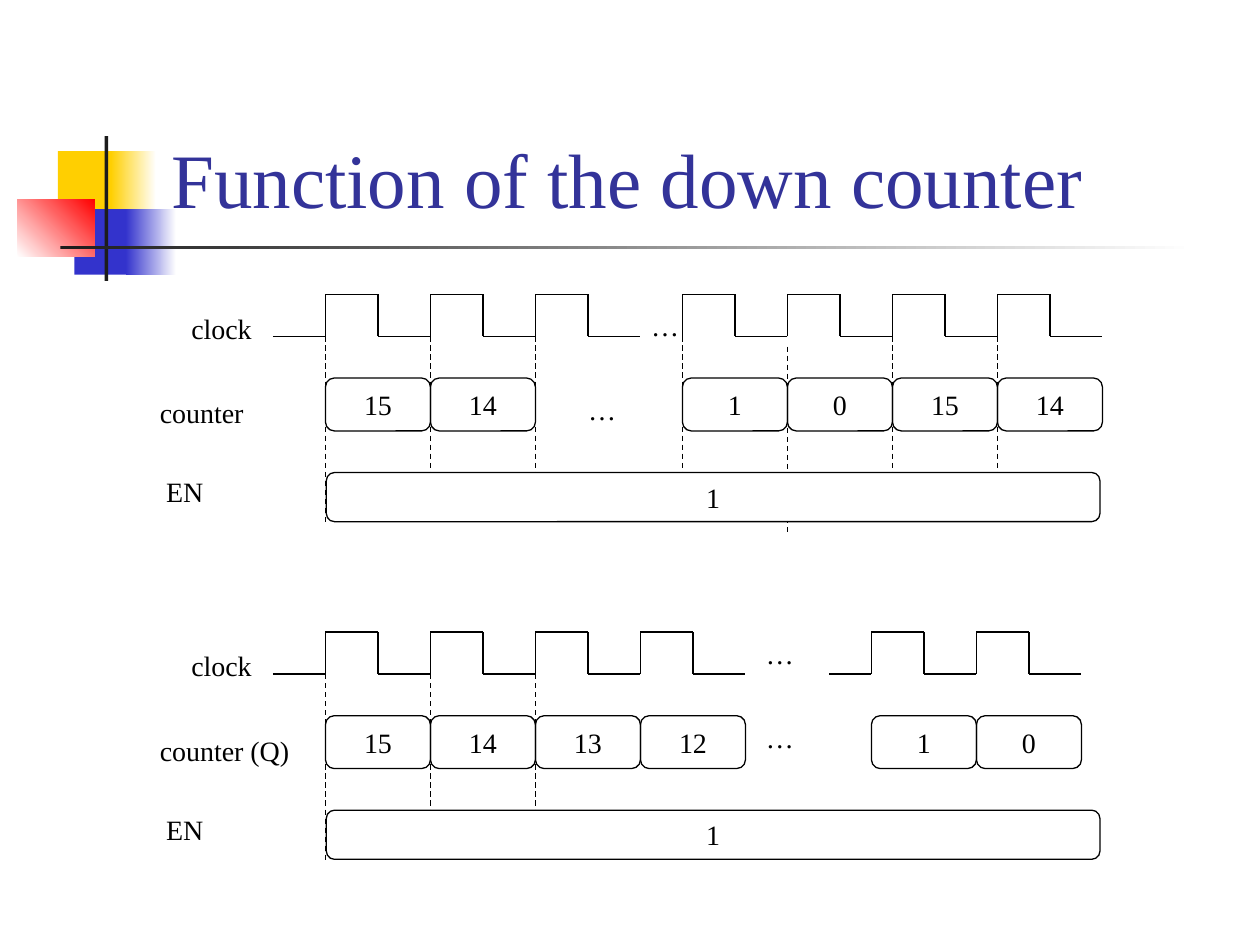
"""Builds a slide with two timing diagrams of a down counter."""
from dataclasses import dataclass

from lxml.etree import SubElement
from pptx import Presentation
from pptx.dml.color import RGBColor
from pptx.enum.dml import MSO_LINE
from pptx.enum.shapes import MSO_CONNECTOR, MSO_SHAPE
from pptx.enum.text import MSO_ANCHOR as ANCHOR, MSO_AUTO_SIZE as AUTO_SIZE, PP_ALIGN as ALIGN
from pptx.oxml.ns import qn
from pptx.util import Inches, Pt


@dataclass(frozen=True)
class Theme:
    font: str = "Times New Roman"
    title_size: int = 44
    body_size: int = 16
    line_width: float = 0.75
    title: str = "333399"
    ink: str = "000000"
    paper: str = "FFFFFF"
    yellow: str = "FFCF01"
    blue: str = "3333CC"
    red: str = "FF0000"
    bar: str = "1C1C1C"


@dataclass(frozen=True)
class Diagram:
    low: float
    counter_label: str
    cycles: dict
    guides: dict
    leads: list
    ellipses: list


THEME = Theme()
START = 2.583
PERIOD = 5 / 6
SWING = 1 / 3

DIAGRAMS = [
    Diagram(
        low=2.67,
        counter_label="counter",
        cycles={0: "15", 1: "14", 2: None, 3.4: "1", 4.4: "0", 5.4: "15", 6.4: "14"},
        guides={0: 0, 1: 0, 2: 0, 3.4: 0, 4.4: 0.08, 5.4: 0, 6.4: 0},
        leads=[(-0.5, 0)],
        ellipses=[(5.07, -0.27), (4.57, 0.4)],
    ),
    Diagram(
        low=5.35,
        counter_label="counter (Q)",
        cycles={0: "15", 1: "14", 2: "13", 3: "12", 5.2: "1", 6.2: "0"},
        guides={0: 0, 1: 0, 2: 0},
        leads=[(-0.5, 0), (4.8, 5.2)],
        ellipses=[(5.98, -0.35), (5.98, 0.32)],
    ),
]


def rgb(color):
    return RGBColor.from_string(color)


def at_cycle(cycle):
    return START + cycle * PERIOD


def write(frame, text, size=THEME.body_size, color=THEME.ink, align=ALIGN.LEFT,
          anchor=ANCHOR.TOP, wrap=False, fit=AUTO_SIZE.NONE):
    frame.word_wrap = wrap
    frame.auto_size = fit
    frame.vertical_anchor = anchor
    paragraph = frame.paragraphs[0]
    paragraph.alignment = align
    run = paragraph.add_run()
    run.text = text
    run.font.name = THEME.font
    run.font.size = Pt(size)
    run.font.color.rgb = rgb(color)


def add_label(shapes, text, left, top, width):
    box = shapes.add_textbox(Inches(left), Inches(top), Inches(width), Inches(0.37))
    write(box.text_frame, text, fit=AUTO_SIZE.SHAPE_TO_FIT_TEXT)


def add_line(shapes, start, end, dashed=False):
    ends = [Inches(value) for value in (*start, *end)]
    line = shapes.add_connector(MSO_CONNECTOR.STRAIGHT, *ends)
    line.line.color.rgb = rgb(THEME.ink)
    line.line.width = Pt(THEME.line_width)
    if dashed:
        line.line.dash_style = MSO_LINE.DASH
    SubElement(line._element.spPr, qn("a:effectLst"))


def add_value(shapes, text, left, top, width, height, fill=None):
    box = shapes.add_shape(MSO_SHAPE.ROUNDED_RECTANGLE, Inches(left), Inches(top),
                           Inches(width), Inches(height))
    box.adjustments[0] = 0.167
    box.shadow.inherit = False
    if fill:
        box.fill.solid()
        box.fill.fore_color.rgb = rgb(fill)
    else:
        box.fill.background()
    box.line.color.rgb = rgb(THEME.ink)
    box.line.width = Pt(THEME.line_width)
    write(box.text_frame, text, align=ALIGN.CENTER, anchor=ANCHOR.MIDDLE)


def add_block(shapes, area, color, fade_to=None, angle=0):
    block = shapes.add_shape(MSO_SHAPE.RECTANGLE, *[Inches(value) for value in area])
    block.shadow.inherit = False
    block.line.fill.background()
    if fade_to:
        block.fill.gradient()
        block.fill.gradient_angle = angle
        for stop, stop_color in zip(block.fill.gradient_stops, (color, fade_to)):
            stop.color.rgb = rgb(stop_color)
    else:
        block.fill.solid()
        block.fill.fore_color.rgb = rgb(color)


def add_ornament(shapes):
    add_block(shapes, (0.46, 1.2, 0.48, 0.52), THEME.yellow)
    add_block(shapes, (0.88, 1.2, 0.36, 0.52), THEME.yellow, THEME.paper)
    add_block(shapes, (0.59, 1.66, 0.46, 0.52), THEME.blue)
    add_block(shapes, (1, 1.66, 0.4, 0.52), THEME.blue, THEME.paper)
    add_block(shapes, (0.14, 1.58, 0.61, 0.46), THEME.paper, THEME.red, angle=45)
    add_block(shapes, (0.83, 1.08, 0.03, 1.15), THEME.bar)
    add_block(shapes, (0.48, 1.95, 9, 0.03), THEME.bar, THEME.paper)


def add_title(slide, text):
    title = slide.shapes.title
    title.left, title.top = Inches(1.26), Inches(0.23)
    title.width, title.height = Inches(8.52), Inches(1.6)
    write(title.text_frame, text, size=THEME.title_size, color=THEME.title,
          anchor=ANCHOR.BOTTOM, wrap=True)
    title._element.getparent().append(title._element)


def add_pulse(shapes, cycle, low):
    rise, fall, end = (at_cycle(cycle + step) for step in (0, 0.5, 1))
    high = low - SWING
    corners = [(rise, low), (rise, high), (fall, high), (fall, low), (end, low)]
    for start, finish in zip(corners, corners[1:]):
        add_line(shapes, start, finish)


def add_diagram(slide, diagram):
    shapes = slide.shapes.add_group_shape().shapes
    low = diagram.low
    for start, end in diagram.leads:
        add_line(shapes, (at_cycle(start), low), (at_cycle(end), low))
    for cycle, value in diagram.cycles.items():
        add_pulse(shapes, cycle, low)
        if value:
            add_value(shapes, value, at_cycle(cycle), low + 0.33, PERIOD, 0.42)
    for cycle, drop in diagram.guides.items():
        x, top = at_cycle(cycle), low + drop
        add_line(shapes, (x, top), (x, top + 1.5), dashed=True)
    add_label(shapes, "clock", 1.42, low - 0.25, 0.68)
    counter_width = 0.87 if diagram.counter_label == "counter" else 1.23
    add_label(shapes, diagram.counter_label, 1.17, low + 0.42, counter_width)
    add_label(shapes, "EN", 1.22, low + 1.05, 0.5)
    for left, offset in diagram.ellipses:
        add_label(shapes, "…", left, low + offset, 0.42)
    add_value(shapes, "1", 2.59, low + 1.08, 6.14, 0.39, fill=THEME.paper)


def main():
    deck = Presentation()
    deck.slide_width, deck.slide_height = Inches(10), Inches(7.5)
    slide = deck.slides.add_slide(deck.slide_layouts[5])
    add_ornament(slide.shapes)
    add_title(slide, "Function of the down counter")
    for diagram in DIAGRAMS:
        add_diagram(slide, diagram)
    deck.save("out.pptx")


if __name__ == "__main__":
    main()
